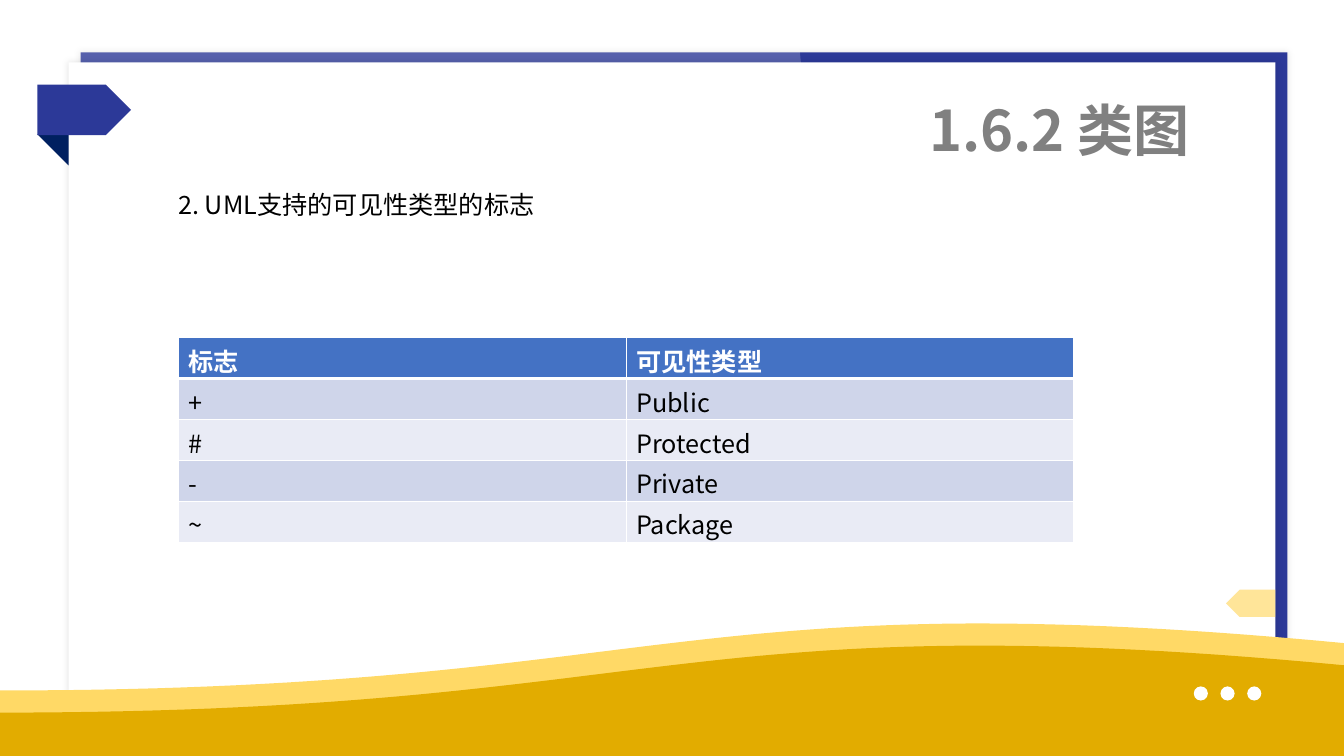
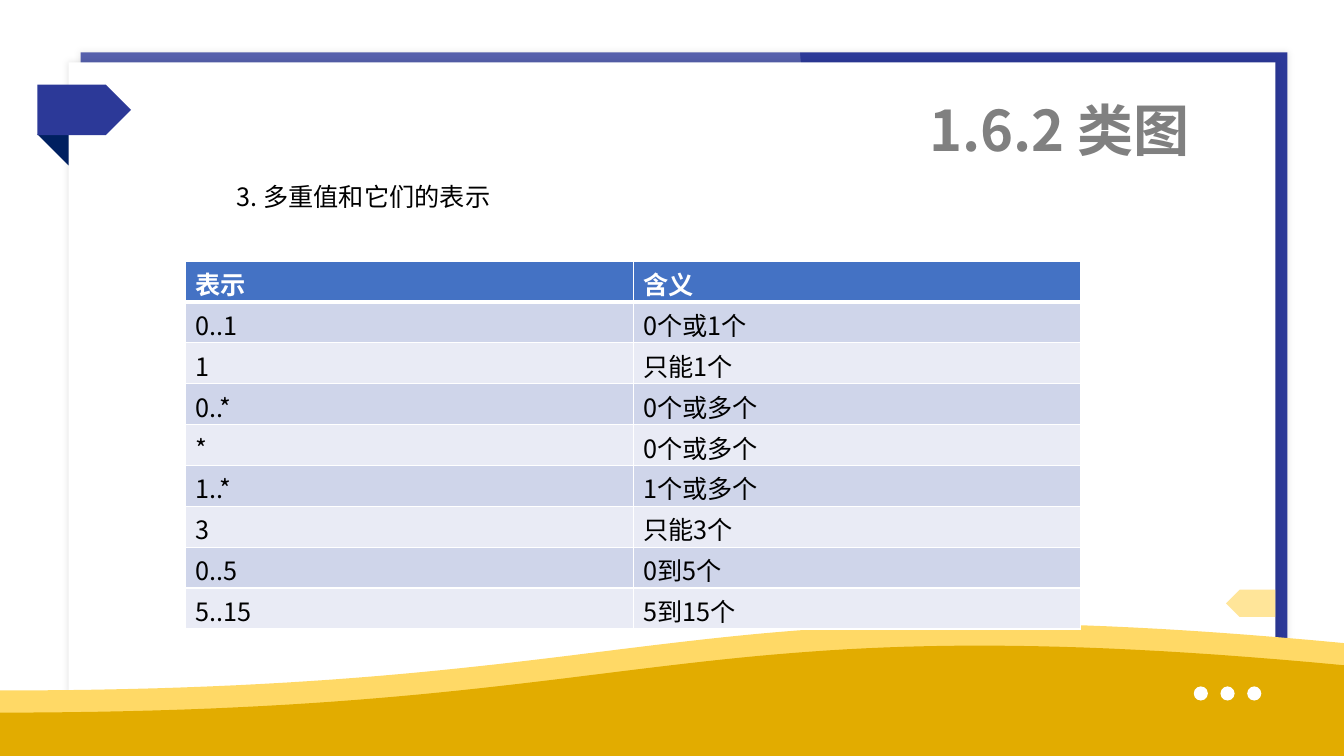
from lxml import etree
from pptx import Presentation
from pptx import util as u
from pptx.dml.color import RGBColor
from pptx.enum import shapes, text
from pptx.oxml import ns

FONT = "Noto Sans CJK SC"
COLOURS = {
    "white": "FFFFFF", "black": "000000", "title": "808080",
    "indigo": "2C3998", "navy": "002060", "amber": "FFC000",
    "wave light": "FFD966", "wave dark": "E2AC00",
    "header": "4472C4", "band odd": "CFD5EA", "band even": "E9EBF5",
}


def paint(shape, colour, opacity=None):
    """Flat fill without outline or shadow; opacity in percent."""
    shape.fill.solid()
    shape.fill.fore_color.rgb = RGBColor.from_string(COLOURS[colour])
    shape.line.fill.background()
    shape.shadow.inherit = False
    if opacity:
        colour_element = shape.element.spPr.find(ns.qn("a:solidFill"))[0]
        etree.SubElement(colour_element, ns.qn("a:alpha"), val=str(opacity * 1000))


def write(frame, wording, size, colour, bold=False):
    """One paragraph in the deck's font, for Latin and Chinese alike."""
    frame.text = wording
    paragraph = frame.paragraphs[0]
    run = paragraph.runs[0]
    run.font.size = u.Pt(size)
    run.font.bold = bold
    run.font.name = FONT
    run.font.color.rgb = RGBColor.from_string(COLOURS[colour])
    etree.SubElement(run.font._element, ns.qn("a:ea"), typeface=FONT)
    return paragraph


presentation = Presentation()
presentation.slide_width = u.Inches(13.33)
presentation.slide_height = u.Inches(7.5)
layout = presentation.slide_layouts[6]
for placeholder in list(layout.placeholders):
    placeholder.element.getparent().remove(placeholder.element)

# Shared frame: drawn on the first slide, then moved to the layout
kind = shapes.MSO_SHAPE
first_slide = presentation.slides.add_slide(layout)
canvas = first_slide.shapes

# Back panel, sheen and white sheet: preset, box, rotation, colour, opacity, shadow
panels = [
    (kind.RECTANGLE, (0.8, 0.52, 11.97, 6.27), 0, "indigo", None, True),
    (kind.FLOWCHART_DOCUMENT, (1.19, -1.18, 7.49, 9.87), 270, "white", 20, False),
    (kind.RECTANGLE, (0.68, 0.62, 11.97, 6.27), 0, "white", None, True),
]
for preset, box, rotation, colour, opacity, shadowed in panels:
    panel = canvas.add_shape(preset, *map(u.Inches, box))
    panel.rotation = rotation
    paint(panel, colour, opacity)
    if shadowed:
        effects = panel.element.spPr.find(ns.qn("a:effectLst"))
        shadow = etree.SubElement(effects, ns.qn("a:outerShdw"),
                                  blurRad=str(u.Pt(5)), dist="0", dir="0")
        shade = etree.SubElement(shadow, ns.qn("a:srgbClr"), val=COLOURS["black"])
        etree.SubElement(shade, ns.qn("a:alpha"), val="10000")

# Waves: the same cubic curve, the darker one lower
STEPS = 60
for colour, drop in (("wave light", 0), ("wave dark", 0.22)):
    curve = []
    for step in range(STEPS + 1):
        t = step / STEPS
        weights = ((1 - t) ** 3, 3 * t * (1 - t) ** 2, 3 * t * t * (1 - t), t ** 3)
        x = sum(w * v for w, v in zip(weights, (0, 6.67, 6.67, 13.33)))
        y = sum(w * v for w, v in zip(weights, (6.85, 6.85, 5.75, 6.38)))
        curve.append((u.Inches(x), u.Inches(y + drop)))
    curve.append((u.Inches(13.33), u.Inches(7.5)))
    builder = canvas.build_freeform(u.Inches(0), u.Inches(7.5))
    builder.add_line_segments(curve, close=True)
    paint(builder.convert_to_shape(), colour)

# Three dots
for index in range(3):
    dot = canvas.add_shape(kind.OVAL, u.Inches(11.84 + index * 0.265),
                           u.Inches(6.81), u.Inches(0.14), u.Inches(0.14))
    paint(dot, "white")

# Ribbon with its fold, and the tab on the right
tags = [
    (kind.RIGHT_TRIANGLE, (0.37, 1.33, 0.31, 0.31), 180, "navy", None),
    (kind.PENTAGON, (0.37, 0.84, 0.93, 0.5), 0, "indigo", None),
    (kind.PENTAGON, (12.16, 5.85, 0.49, 0.27), 180, "amber", 40),
]
for preset, box, rotation, colour, opacity in tags:
    tag = canvas.add_shape(preset, *map(u.Inches, box))
    tag.rotation = rotation
    paint(tag, colour, opacity)

for shape in list(canvas):
    layout.shapes.element.append(shape.element)

# Slide content
contents = [
    {
        "heading": "2. UML支持的可见性类型的标志", "heading box": (1.67, 1.82, 3.74, 0.4),
        "table box": (1.77, 3.35, 8.88, 2.03),
        "rows": [("标志", "可见性类型"), ("+", "Public"), ("#", "Protected"),
                 ("-", "Private"), ("~", "Package")],
    },
    {
        "heading": "3. 多重值和它们的表示", "heading box": (2.25, 1.74, 2.73, 0.4),
        "table box": (1.84, 2.59, 8.88, 3.65),
        "rows": [("表示", "含义"), ("0..1", "0个或1个"), ("1", "只能1个"),
                 ("0..*", "0个或多个"), ("*", "0个或多个"), ("1..*", "1个或多个"),
                 ("3", "只能3个"), ("0..5", "0到5个"), ("5..15", "5到15个")],
    },
]

for number, content in enumerate(contents):
    slide = presentation.slides.add_slide(layout) if number else first_slide

    # Heading and title: wording, box, size, line height, colour, bold
    labels = [
        (content["heading"], content["heading box"], 18, 22, "black", False),
        ("1.6.2 类图", (9.12, 0.84, 3.37, 0.77), 40, 52, "title", True),
    ]
    for wording, box, size, line_height, colour, bold in labels:
        frame = slide.shapes.add_textbox(*map(u.Inches, box)).text_frame
        frame.word_wrap = True
        paragraph = write(frame, wording, size, colour, bold)
        paragraph.line_spacing = u.Pt(line_height)

    # Table
    rows = content["rows"]
    box = map(u.Inches, content["table box"])
    table = slide.shapes.add_table(len(rows), 2, *box).table
    for row_index, row in enumerate(rows):
        is_header = row_index == 0
        band = "header" if is_header else ("band even", "band odd")[row_index % 2]
        for column_index, wording in enumerate(row):
            cell = table.cell(row_index, column_index)
            cell.margin_top, cell.margin_bottom = u.Inches(0.04), 0
            cell.vertical_anchor = text.MSO_ANCHOR.MIDDLE
            write(cell.text_frame, wording, 18,
                  "white" if is_header else "black", is_header)
            properties = cell._tc.get_or_add_tcPr()
            for side in "LRTB":
                thick = (side == "B" and is_header) or (side == "T" and row_index == 1)
                border = etree.SubElement(properties, ns.qn("a:ln" + side),
                                          w=str(u.Pt(3 if thick else 1)))
                fill = etree.SubElement(border, ns.qn("a:solidFill"))
                etree.SubElement(fill, ns.qn("a:srgbClr"), val=COLOURS["white"])
            cell.fill.solid()
            cell.fill.fore_color.rgb = RGBColor.from_string(COLOURS[band])

presentation.save("out.pptx")
